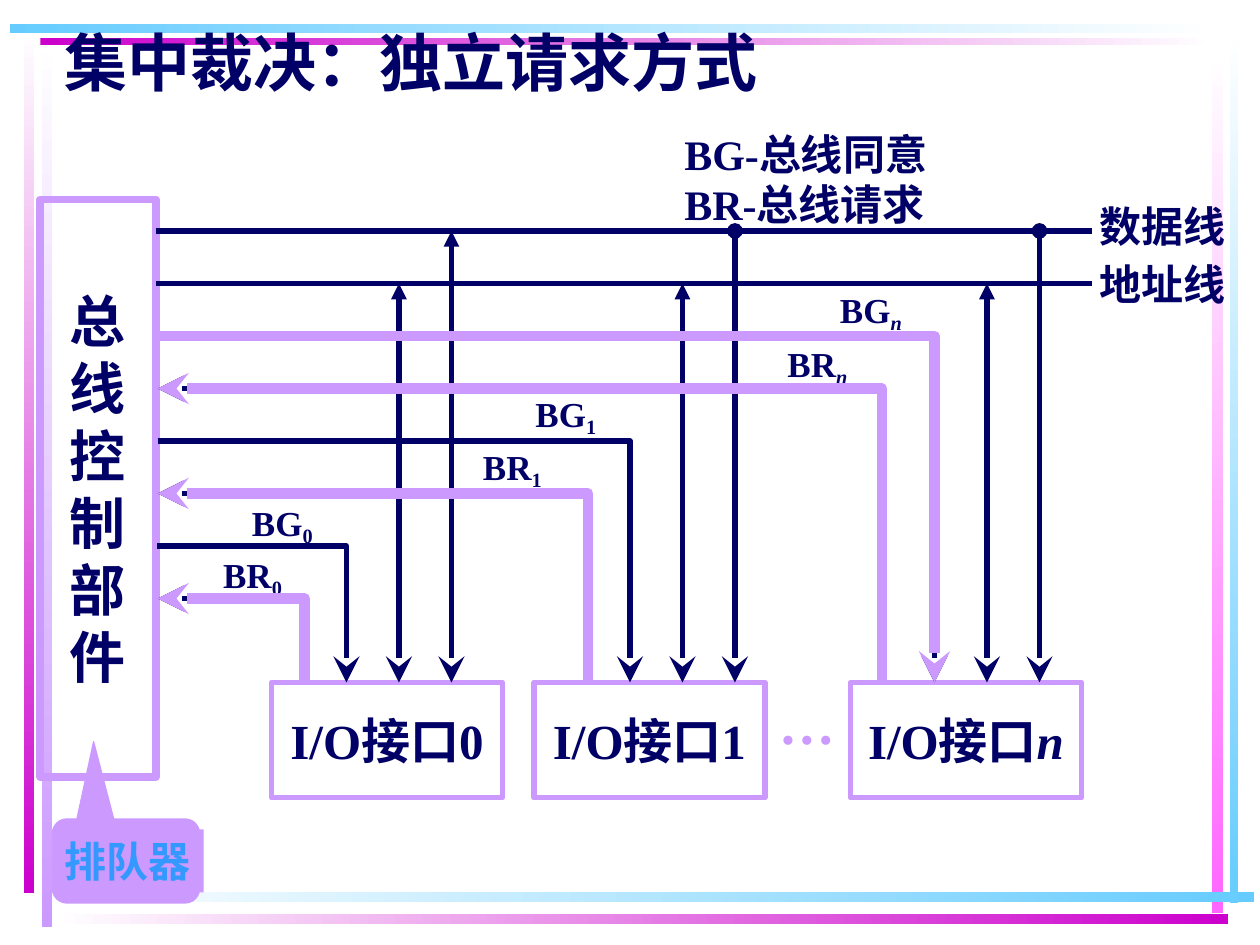
import pptx
import pptx.dml.color
import pptx.enum.shapes
import pptx.enum.text
import pptx.oxml
import pptx.oxml.ns
import pptx.util

RGB = pptx.dml.color.RGBColor
NAVY = RGB(0x00, 0x00, 0x66)
LILAC = RGB(0xCC, 0x99, 0xFF)
MAGENTA = RGB(0xCC, 0x00, 0xCC)
PINK = RGB(0xFF, 0x66, 0xFF)
SKY = RGB(0x66, 0xCC, 0xFF)
BLUE = RGB(0x33, 0x99, 0xFF)
WHITE = RGB(0xFF, 0xFF, 0xFF)

FONT = "Times New Roman"
SHAPE = pptx.enum.shapes.MSO_SHAPE
ANCHOR = pptx.enum.text.MSO_ANCHOR
ALIGN = pptx.enum.text.PP_ALIGN

# The slide is a grid of 120 columns by 90 rows, twelve cells to the inch.
CELL = pptx.util.Inches(1) // 12
CONTROL_EDGE = 15
DATA_ROW, ADDRESS_ROW, INTERFACE_ROW = 22, 27, 65
THIN, THICK = 3, 6

# left, top, width, height in inches; first colour, last colour; gradient angle
FRAME_BARS = [
    (0.33, 0.28, 0.08, 7.08, WHITE, LILAC, 270),
    (0.19, 0.25, 0.08, 6.84, WHITE, MAGENTA, 270),
    (9.76, 0.24, 0.07, 6.93, WHITE, SKY, 270),
    (9.62, 0.42, 0.09, 6.83, WHITE, PINK, 270),
    (0.45, 7.08, 9.5, 0.08, WHITE, SKY, 0),
    (0.45, 7.25, 9.3, 0.08, WHITE, MAGENTA, 0),
    (0.32, 0.3, 9.32, 0.06, MAGENTA, WHITE, 0),
    (0.08, 0.19, 9.56, 0.07, SKY, WHITE, 0),
]

# index, box column, request column, grant column, request row, grant row
INTERFACES = [
    ("0", 25.85, 29, 33, 57, 52),
    ("1", 50.85, 56, 60, 47, 42),
    ("n", 81, 84, 89, 37, 32),
]

# text, column, row of the signal names
SIGNALS = [
    ("BR", "0", 21.25, 52.7), ("BG", "0", 24, 47.8),
    ("BR", "1", 46, 42.4), ("BG", "1", 51, 37.4),
    ("BR", "n", 75, 32.65), ("BG", "n", 80, 27.5),
]


def cells(*counts):
    return [round(count * CELL) for count in counts]


def write(shape, paragraphs, size, color=NAVY, align=ALIGN.LEFT,
          anchor=ANCHOR.TOP, margins=(0.1, 0.05), wrap=False):
    """Fill a shape with paragraphs; each is a string or a list of (text, marks)."""
    frame = shape.text_frame
    frame.auto_size = pptx.enum.text.MSO_AUTO_SIZE.NONE
    frame.word_wrap = wrap
    frame.vertical_anchor = anchor
    frame.margin_left = frame.margin_right = pptx.util.Inches(margins[0])
    frame.margin_top = frame.margin_bottom = pptx.util.Inches(margins[1])
    for index, content in enumerate(paragraphs):
        paragraph = frame.paragraphs[0] if index == 0 else frame.add_paragraph()
        paragraph.alignment = align
        runs = [(content, "")] if isinstance(content, str) else content
        for text, marks in runs:
            run = paragraph.add_run()
            run.text = text
            run.font.name, run.font.size = FONT, pptx.util.Pt(size)
            run.font.bold = True
            run.font.color.rgb = color
            if "italic" in marks:
                run.font.italic = True
            if "sub" in marks:
                run._r.get_or_add_rPr().set("baseline", "-20000")


def add_text(slide, area, paragraphs, size, **style):
    box = slide.shapes.add_textbox(*cells(*area))
    write(box, paragraphs, size, **style)
    return box


def add_box(slide, area, kind=SHAPE.RECTANGLE, fill=None, width=THIN):
    box = slide.shapes.add_shape(kind, *cells(*area))
    box.shadow.inherit = False
    if fill is None:
        box.fill.background()
    else:
        box.fill.solid()
        box.fill.fore_color.rgb = fill
    box.line.color.rgb = LILAC
    box.line.width = pptx.util.Pt(width)
    return box


def style_line(line_shape, color, width, head=None, tail=None):
    line_shape.line.color.rgb = color
    line_shape.line.width = pptx.util.Pt(width)
    ln = line_shape.get_or_add_ln()
    for tag, kind in (("headEnd", head), ("tailEnd", tail)):
        if kind:
            size = "lg" if kind == "stealth" and width == THIN else "med"
            ln.append(pptx.oxml.parse_xml(
                f'<a:{tag} {pptx.oxml.ns.nsdecls("a")} type="{kind}" w="{size}" len="{size}"/>'))


def add_line(slide, start, end, **ends):
    line = slide.shapes.add_connector(
        pptx.enum.shapes.MSO_CONNECTOR.STRAIGHT, *cells(*start, *end))
    style_line(line, NAVY, THIN, **ends)
    line._element.spPr.append(pptx.oxml.parse_xml(
        f'<a:effectLst {pptx.oxml.ns.nsdecls("a")}/>'))


def add_route(slide, column, row, color, width, **ends):
    """Signal running right from the control unit, then down to an interface."""
    builder = slide.shapes.build_freeform(CONTROL_EDGE, row, scale=CELL)
    builder.add_line_segments([(column, row), (column, INTERFACE_ROW)], close=False)
    route = builder.convert_to_shape()
    route.shadow.inherit = False
    route.fill.background()
    style_line(route, color, width, **ends)


def add_frame(slide):
    for *area, first, last, angle in FRAME_BARS:
        bar = slide.shapes.add_shape(SHAPE.RECTANGLE, *map(pptx.util.Inches, area))
        bar.shadow.inherit = False
        bar.line.fill.background()
        bar.fill.gradient()
        bar.fill.gradient_angle = angle
        for stop, color, position in zip(bar.fill.gradient_stops, (first, last), (0, 1)):
            stop.color.rgb = color
            stop.position = position


def add_title(slide):
    title = slide.shapes.title
    title.left, title.top, title.width, title.height = cells(4.9, 1.6, 72, 8.4)
    write(title, ["集中裁决：独立请求方式"], 36)
    slide.shapes._spTree.append(title._element)  # in front of the frame


def add_queue_callout(slide):
    callout = add_box(slide, (5, 78, 14, 8), SHAPE.ROUNDED_RECTANGULAR_CALLOUT, LILAC, 0.75)
    for index, value in enumerate((-0.22, -1.42, 0.17)):
        callout.adjustments[index] = value
    label = add_text(slide, (5, 79, 14.4, 6), ["排队器"], 24, color=BLUE)
    label.fill.solid()
    label.fill.fore_color.rgb = LILAC


def add_control_unit(slide):
    control = add_box(slide, (3.84, 19, 11, 55), width=4.5)
    write(control, "总线控制部件", 32, align=ALIGN.CENTER, anchor=ANCHOR.MIDDLE)


def add_interfaces(slide):
    for index, column, *_ in INTERFACES:
        box = add_box(slide, (column, INTERFACE_ROW, 22, 11))
        marks = "italic" if index == "n" else ""
        write(box, [[("I/O接口", ""), (index, marks)]], 28,
              align=ALIGN.CENTER, anchor=ANCHOR.MIDDLE)
    add_text(slide, (73, 65, 7.7, 7.7), ["…"], 32, color=LILAC)


def add_buses(slide):
    for name, row, name_row in (("数据线", DATA_ROW, 18.5), ("地址线", ADDRESS_ROW, 24)):
        add_line(slide, (CONTROL_EDGE - 0.1, row), (104, row))
        add_text(slide, (103.5, name_row, 14.4, 6), [name], 24)
    for index, _, _, grant, *_ in INTERFACES:
        taps = ((grant + 5, ADDRESS_ROW, "triangle"),
                (grant + 10, DATA_ROW, "triangle" if index == "0" else "oval"))
        for column, row, head in taps:
            add_line(slide, (column, row), (column, INTERFACE_ROW),
                     head=head, tail="stealth")


def add_signals(slide):
    for *_, request, grant, request_row, grant_row in INTERFACES:
        add_route(slide, grant, grant_row, NAVY, THIN, tail="stealth")
        add_route(slide, request, request_row, NAVY, THIN, head="stealth")
    for name, index, column, row in SIGNALS:
        marks = "sub italic" if index == "n" else "sub"
        add_text(slide, (column, row, 11, 4.4), [[(name, ""), (index, marks)]], 20,
                 margins=(0, 0), wrap=True)
    add_text(slide, (64, 11.6, 31, 10.7), ["BG-总线同意", "BR-总线请求"], 24, wrap=True)
    for *_, request, _, request_row, _ in INTERFACES:
        add_route(slide, request, request_row, LILAC, THICK, head="stealth")
    *_, last_grant, _, last_row = INTERFACES[-1]
    add_route(slide, last_grant, last_row, LILAC, THICK, tail="stealth")


def main():
    deck = pptx.Presentation()
    deck.slide_width, deck.slide_height = cells(120, 90)
    slide = deck.slides.add_slide(deck.slide_layouts[5])
    add_frame(slide)
    add_queue_callout(slide)
    add_title(slide)
    add_control_unit(slide)
    add_interfaces(slide)
    add_buses(slide)
    add_signals(slide)
    deck.save("out.pptx")


if __name__ == "__main__":
    main()
